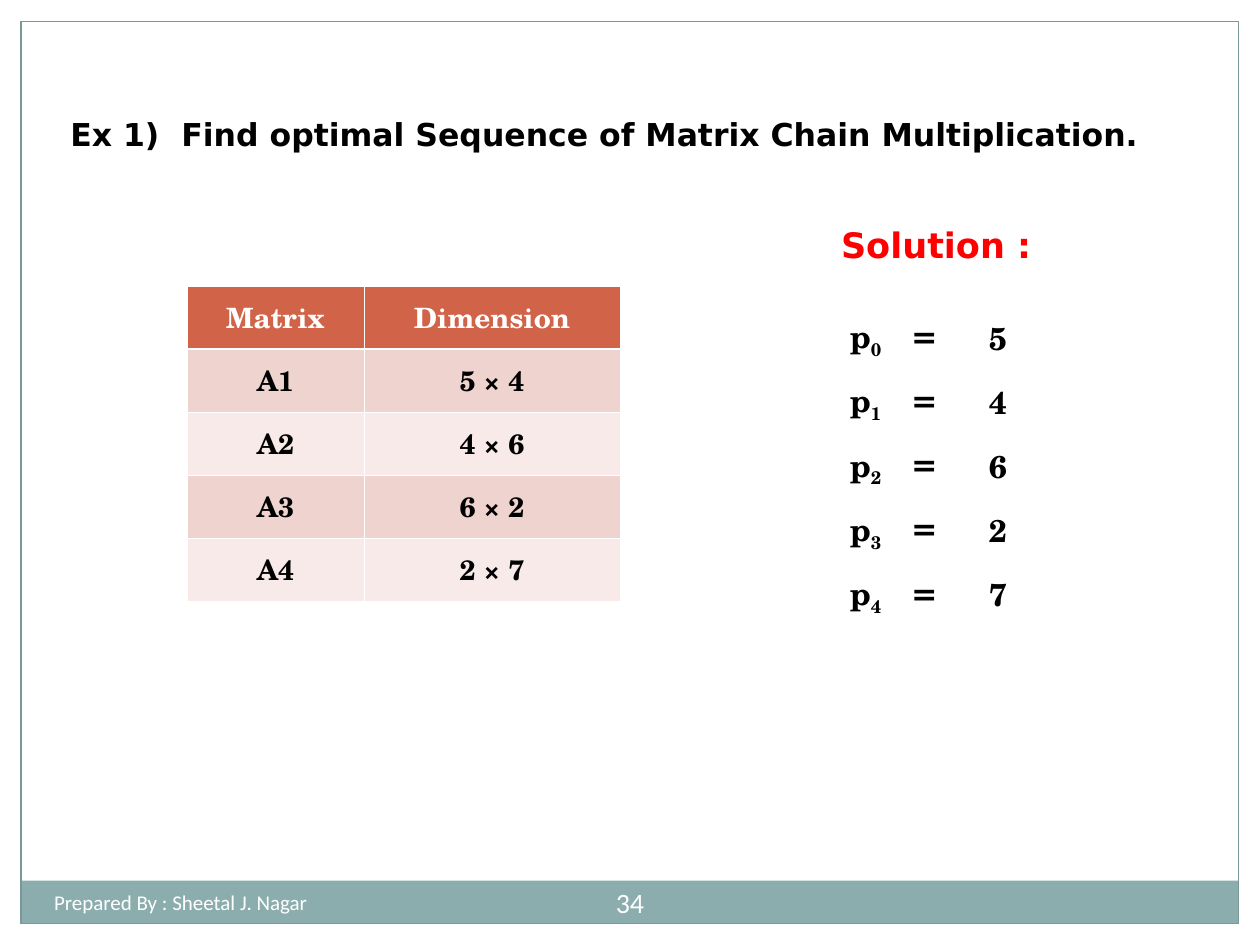
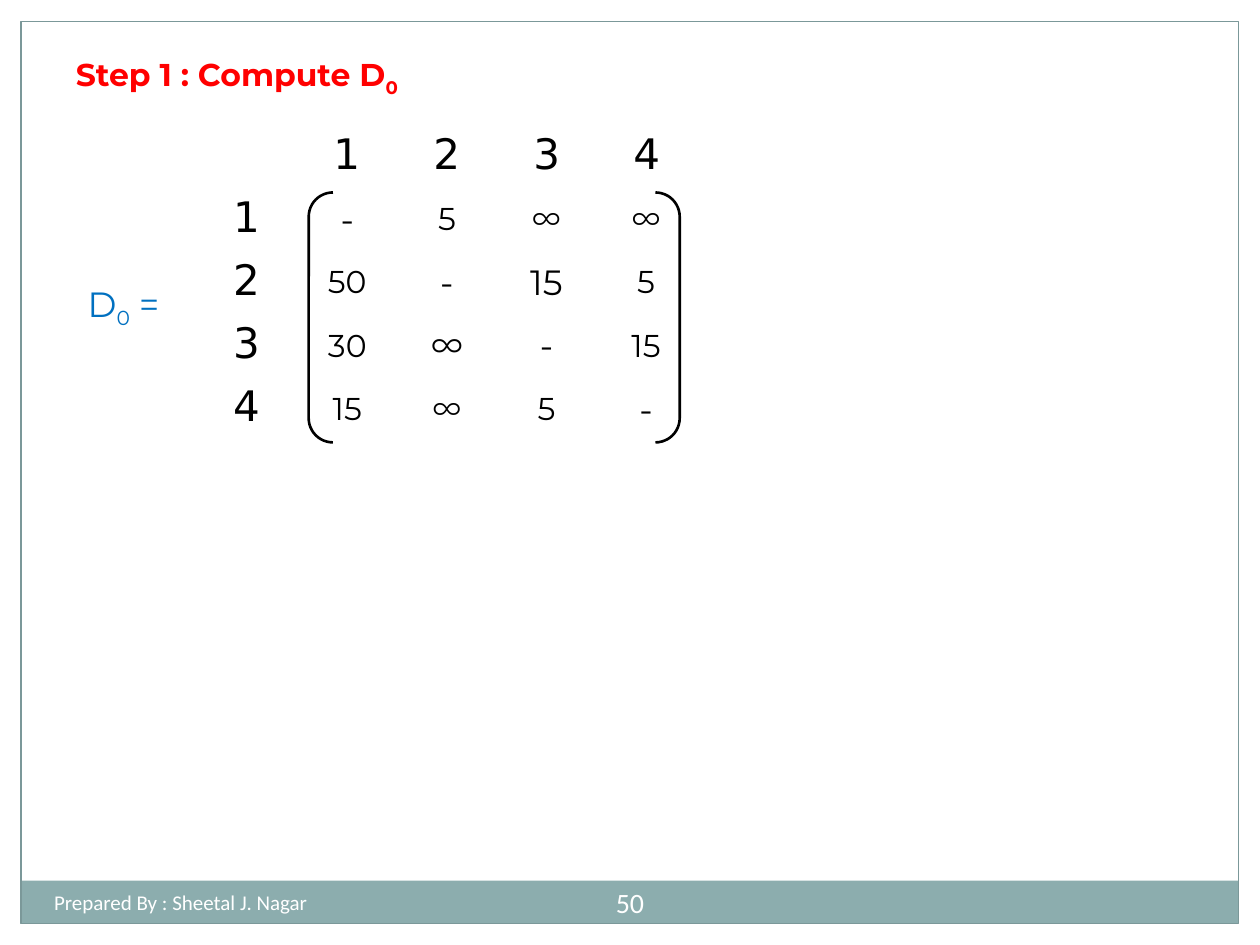
"""Build two lecture slides: a matrix chain example and a first distance matrix."""
from dataclasses import dataclass

from lxml.etree import SubElement
from pptx import Presentation
from pptx.dml.color import RGBColor
from pptx.enum.shapes import MSO_SHAPE
from pptx.enum.text import MSO_ANCHOR, MSO_AUTO_SIZE, PP_ALIGN
from pptx.oxml.ns import qn
from pptx.util import Pt


@dataclass(frozen=True)
class Theme:
    black: str = "000000"
    white: str = "FFFFFF"
    red: str = "FF0000"
    blue: str = "0070C0"
    band: str = "8CADAE"
    frame: str = "7B9899"
    header: str = "D16349"
    stripes: tuple = ("F7EAE9", "EED3CF")
    sans: str = "DejaVu Sans"
    serif: str = "TeX Gyre Schola"
    rounded: str = "Montserrat"
    footer: str = "Calibri"
    tiny: int = 12
    small: int = 16
    medium: int = 18
    large: int = 20
    huge: int = 24


theme = Theme()
NO_STYLE = "{2D5ABB26-0587-4C30-8999-92F81FD0307C}"


def write(frame, text, font, size, color=theme.black, bold=False,
          align=PP_ALIGN.CENTER, anchor=MSO_ANCHOR.MIDDLE, before=0):
    """Write one paragraph; every second part between bars is a subscript."""
    frame.word_wrap = True
    frame.vertical_anchor = anchor
    paragraph = frame.paragraphs[0]
    paragraph.alignment = align
    paragraph.space_before = Pt(before)
    for position, part in enumerate(text.split("|")):
        if not part:
            continue
        run = paragraph.add_run()
        run.text = part
        for name, value in {"name": font, "size": Pt(size), "bold": bold}.items():
            setattr(run.font, name, value)
        run.font.color.rgb = RGBColor.from_string(color)
        if position % 2:
            run.font._element.set("baseline", "-25000")
    return paragraph


def add_grid(slide, left, top, widths, row_count, row_height=36):
    """Add an unstyled table with the given column widths."""
    table = slide.shapes.add_table(row_count, len(widths), Pt(left), Pt(top),
                                   Pt(sum(widths)), Pt(row_height * row_count)).table
    table.first_row = table.horz_banding = False
    table._tbl.tblPr.find(qn("a:tableStyleId")).text = NO_STYLE
    for column, width in zip(table.columns, widths):
        column.width = Pt(width)
    for row in table.rows:
        row.height = Pt(row_height)
    return table


presentation = Presentation()
presentation.slide_width, presentation.slide_height = Pt(720), Pt(540)

slides = []
for number in ("34", "50"):
    slide = presentation.slides.add_slide(presentation.slide_layouts[5])
    band = slide.shapes.add_shape(MSO_SHAPE.RECTANGLE, Pt(11.7), Pt(503.3), Pt(695.7), Pt(24.5))
    band.shadow.inherit = False
    band.fill.solid()
    band.fill.fore_color.rgb = RGBColor.from_string(theme.band)
    band.line.fill.background()
    border = slide.shapes.add_shape(MSO_SHAPE.RECTANGLE, Pt(12), Pt(12.2), Pt(695.7), Pt(515.6))
    border.shadow.inherit = False
    border.fill.background()
    border.line.color.rgb = RGBColor.from_string(theme.frame)
    border.line.width = Pt(0.75)
    page = slide.shapes.add_textbox(Pt(336), Pt(498.5), Pt(48), Pt(34.5)).text_frame
    page.margin_left = page.margin_right = Pt(3.6)
    write(page, number, theme.footer, theme.small, theme.white)
    author = slide.shapes.add_textbox(Pt(23.8), Pt(504.7), Pt(282), Pt(28.8)).text_frame
    write(author, "Prepared By : Sheetal J. Nagar", theme.footer, theme.tiny, theme.white,
          align=PP_ALIGN.LEFT, anchor=MSO_ANCHOR.TOP)
    slides.append(slide)
chain_slide, distance_slide = slides

titles = [
    ("Ex 1)\tFind optimal Sequence of Matrix Chain Multiplication.", (0, 62, 690, 56),
     dict(font=theme.sans, align=PP_ALIGN.LEFT, before=4.5)),
    ("Step 1 : Compute D|0|", (11.5, 28, 247.7, 28),
     dict(font=theme.rounded, color=theme.red)),
]
for slide, (text, box, style) in zip(slides, titles):
    title = slide.shapes.title
    for name, value in zip(("left", "top", "width", "height"), box):
        setattr(title, name, Pt(value))
    title.text_frame.auto_size = MSO_AUTO_SIZE.NONE
    write(title.text_frame, text, size=theme.medium, bold=True, anchor=MSO_ANCHOR.TOP, **style)
properties = chain_slide.shapes.title.text_frame.paragraphs[0]._p.get_or_add_pPr()
properties.set("marL", str(int(Pt(96.5))))
properties.set("indent", str(int(Pt(-63.5))))

dimensions = [("Matrix", "Dimension"), ("A1", "5 × 4"), ("A2", "4 × 6"),
              ("A3", "6 × 2"), ("A4", "2 × 7")]
dimension_table = add_grid(chain_slide, 106.8, 163.5, (101.2, 146.3), len(dimensions))
for row, values in enumerate(dimensions):
    for column, value in enumerate(values):
        cell = dimension_table.cell(row, column)
        write(cell.text_frame, value, theme.serif, theme.small,
              theme.black if row else theme.white, bold=True)
        cell.vertical_anchor = MSO_ANCHOR.MIDDLE
        cell_properties = cell._tc.get_or_add_tcPr()
        for side in "LRTB":
            thick = (row, side) in ((0, "B"), (1, "T"))
            edge = SubElement(cell_properties, qn(f"a:ln{side}"),
                              w=str(int(Pt(1.47 if thick else 0.45))))
            SubElement(SubElement(edge, qn("a:solidFill")), qn("a:srgbClr"), val=theme.white)
        cell.fill.solid()
        cell.fill.fore_color.rgb = RGBColor.from_string(
            theme.stripes[row % 2] if row else theme.header)

solution = chain_slide.shapes.add_textbox(Pt(473.5), Pt(124), Pt(190), Pt(39.6))
write(solution.text_frame, "Solution :", theme.sans, theme.large, theme.red, bold=True,
      align=PP_ALIGN.LEFT, anchor=MSO_ANCHOR.TOP, before=5)

sizes = (5, 4, 6, 2, 7)
solution_table = add_grid(chain_slide, 476, 174.5, (37.4, 27.4, 59), len(sizes), 36.7)
for row, size in enumerate(sizes):
    values = ((f"p|{row}|", theme.serif), ("=", theme.sans), (str(size), theme.serif))
    for column, (value, font) in enumerate(values):
        cell = solution_table.cell(row, column)
        write(cell.text_frame, value, font, theme.medium, bold=True)
        cell.vertical_anchor = MSO_ANCHOR.MIDDLE

distances = [("-", "5", "∞", "∞"), ("50", "-", "15", "5"),
             ("30", "∞", "-", "15"), ("15", "∞", "5", "-")]
larger_entries = {(1, 2), (2, 1)}
label_table = add_grid(distance_slide, 112.3, 70.5, (57.2,) * 5, 5)
for index in range(1, 5):
    for cell in (label_table.cell(0, index), label_table.cell(index, 0)):
        write(cell.text_frame, str(index), theme.sans, theme.huge)
        cell.vertical_anchor = MSO_ANCHOR.MIDDLE
for row, values in enumerate(distances):
    for column, value in enumerate(values):
        entry = distance_slide.shapes.add_shape(
            MSO_SHAPE.RECTANGLE, Pt(178 + 56.9 * column), Pt(110.6 + 36.2 * row), Pt(41), Pt(28))
        entry.shadow.inherit = False
        entry.fill.solid()
        entry.fill.fore_color.rgb = RGBColor.from_string(theme.white)
        entry.line.fill.background()
        large = value == "-" or (row, column) in larger_entries
        write(entry.text_frame, value, theme.rounded, theme.large if large else theme.medium)

brackets = distance_slide.shapes.add_shape(
    MSO_SHAPE.DOUBLE_BRACKET, Pt(176.4), Pt(110), Pt(212), Pt(142.8))
brackets.adjustments[0] = 0.097
brackets.shadow.inherit = False
brackets.fill.background()
brackets.line.color.rgb = RGBColor.from_string(theme.black)
brackets.line.width = Pt(1.5)

matrix_name = distance_slide.shapes.add_textbox(Pt(16.6), Pt(157.7), Pt(108), Pt(28))
write(matrix_name.text_frame, "D|0| =", theme.rounded, theme.large, theme.blue,
      anchor=MSO_ANCHOR.TOP)

presentation.save("out.pptx")
